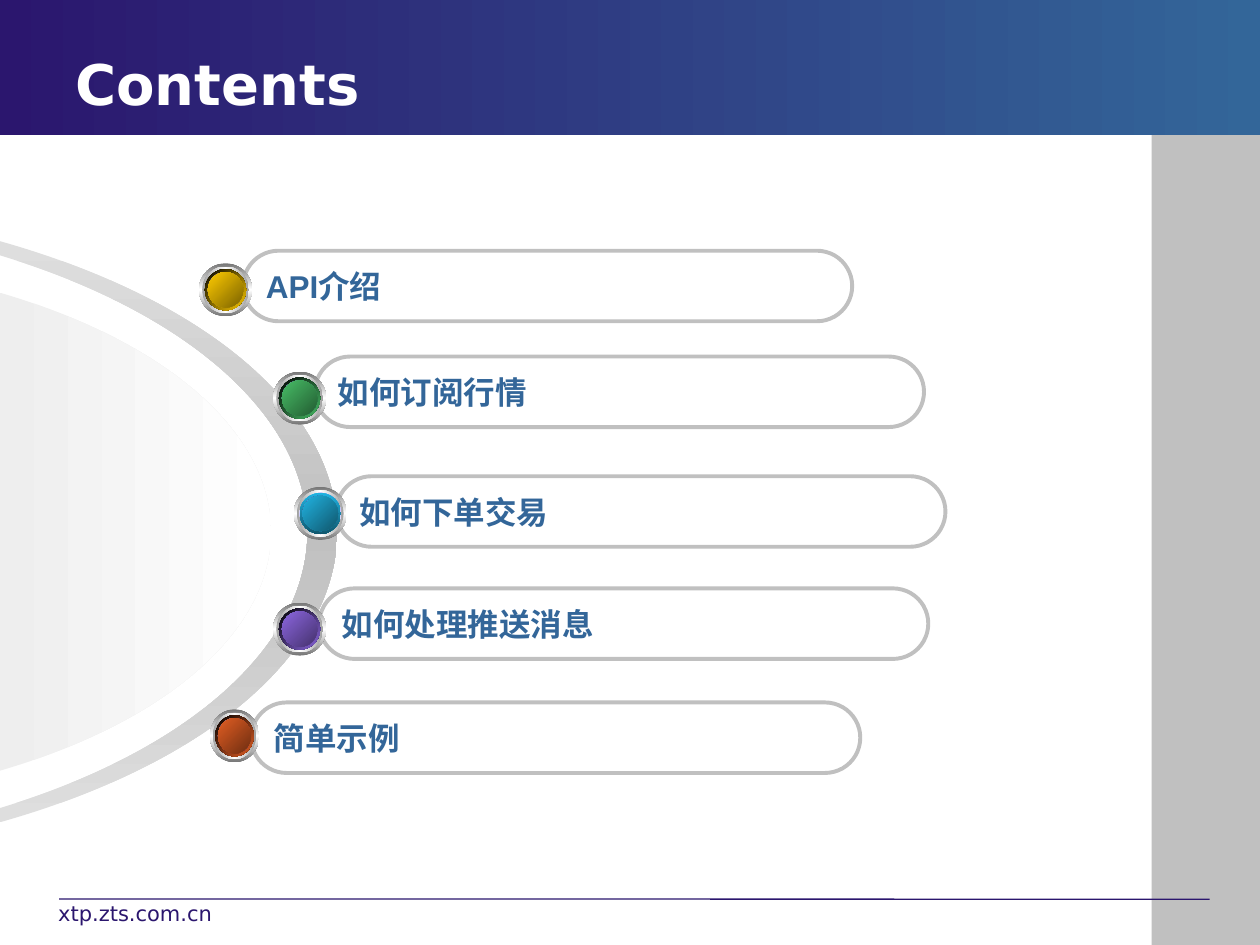
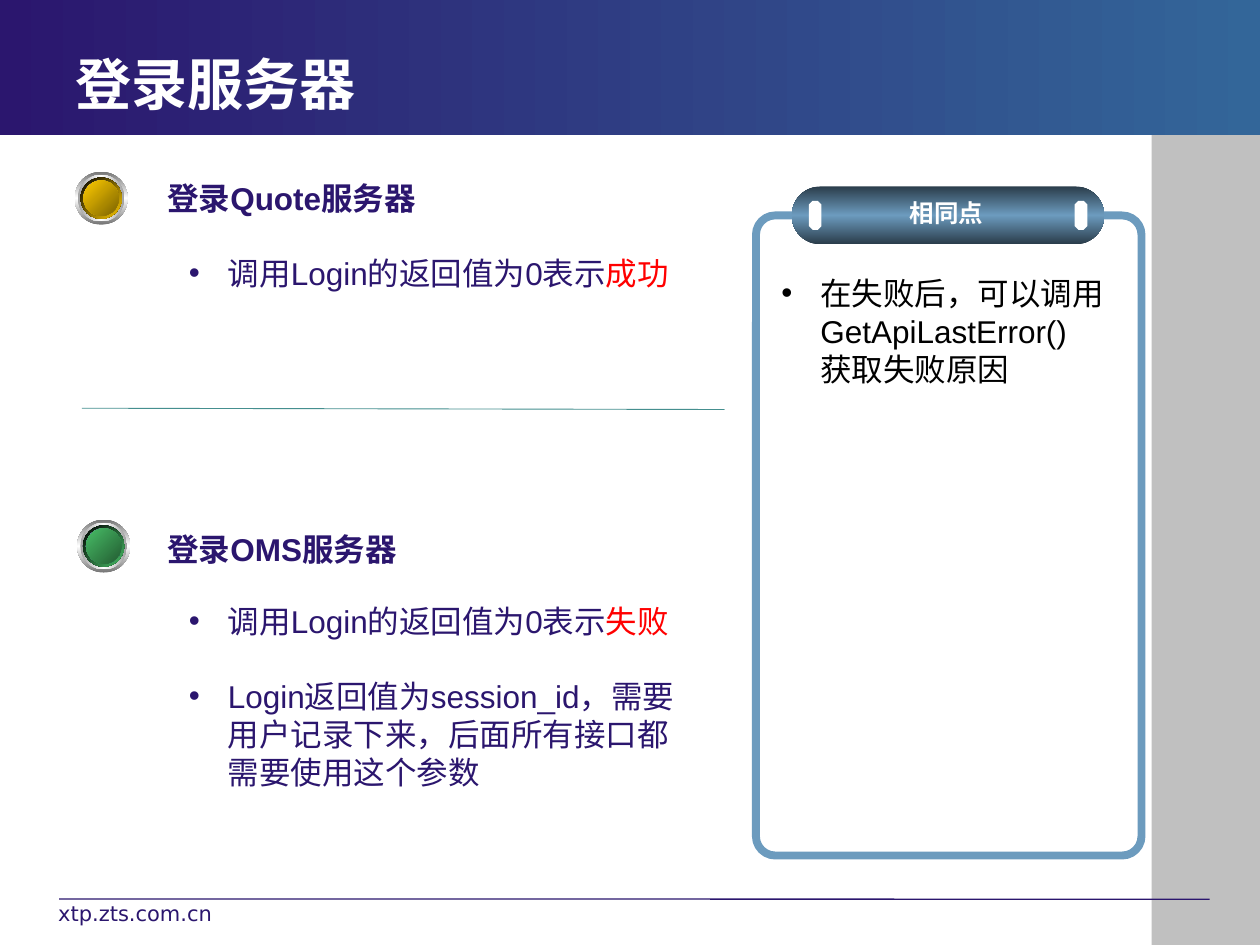
"""Builds the contents slide and the server login slide of an API course."""
import math

import lxml.etree
import pptx
import pptx.dml.color
import pptx.enum.shapes
import pptx.enum.text
import pptx.oxml.ns
import pptx.util

rgb = pptx.dml.color.RGBColor.from_string
qn = pptx.oxml.ns.qn
FORM = pptx.enum.shapes.MSO_SHAPE
MIDDLE = pptx.enum.text.MSO_ANCHOR.MIDDLE
NAVY, BLUE, SILVER, WHITE, BLACK = "2B166E", "336699", "C0C0C0", "FFFFFF", "000000"
STEEL, TEAL, RED, LILAC, SHADE = "6C9BBE", "458F8F", "FF0000", "9999FF", "53538A"
GOLD, GREEN = ("FFCC00", "7C6300"), ("48BE67", "235C32")
CYAN, VIOLET, RUST = ("21B3E1", "10576D"), ("8D67E1", "45326D"), ("E35E23", "6E2E11")

deck = pptx.Presentation()
deck.slide_width, deck.slide_height = pptx.util.Inches(10), pptx.util.Inches(7.5)
cell = deck.slide_width // 100  # 100 columns by 75 rows


def draw(shapes, form, area, colours=(), angle=0, edge=None):
    """Add a preset shape, or an outline of double curves, in grid cells."""
    if form:
        shape = shapes.add_shape(form, *[round(length * cell) for length in area])
    else:
        points = [(round(x * cell), round(y * cell)) for x, y in area]
        outline = shapes.build_freeform(*points[0])
        outline.add_line_segments(points[1:])
        shape = outline.convert_to_shape()
        steps = list(shape._element.iter(qn("a:lnTo")))[:len(points) - 1]
        for first in range(0, len(steps), 7):
            for start in (first, first + 3):
                curve = lxml.etree.Element(qn("a:cubicBezTo"))
                steps[start].addprevious(curve)
                for step in steps[start:start + 3]:
                    curve.append(step[0])
                    step.getparent().remove(step)
    shape.shadow.inherit = False
    if len(colours) > 1:
        shape.fill.gradient()
        blend = shape._element.spPr.find(qn("a:gradFill"))
        blend.find(qn("a:lin")).set("ang", str(angle * 60000))
        stops = blend.find(qn("a:gsLst"))
        for stop in list(stops):
            stops.remove(stop)
        for index, colour in enumerate(colours):
            position = str(100000 * index // (len(colours) - 1))
            stop = lxml.etree.SubElement(stops, qn("a:gs"), pos=position)
            lxml.etree.SubElement(stop, qn("a:srgbClr"), val=colour)
    elif colours:
        shape.fill.solid()
        shape.fill.fore_color.rgb = rgb(colours[0])
    else:
        shape.fill.background()
    if edge:
        shape.line.color.rgb = rgb(edge[0])
        shape.line.width = pptx.util.Pt(edge[1])
    else:
        shape.line.fill.background()
    return shape


def write(frame, paragraphs, size=18, bold=False, font="Arial", bullet=None, align="LEFT"):
    """Fill a text frame with paragraphs, each a list of (text, colour) runs."""
    frame.word_wrap = True
    for index, runs in enumerate(paragraphs):
        paragraph = frame.add_paragraph() if index else frame.paragraphs[0]
        paragraph.alignment = pptx.enum.text.PP_ALIGN[align]
        if bullet:
            props = paragraph._p.get_or_add_pPr()
            props.set("marL", str(round(3.1 * cell)))
            props.set("indent", str(round(-3.1 * cell)))
            tint = lxml.etree.SubElement(props, qn("a:buClr"))
            lxml.etree.SubElement(tint, qn("a:srgbClr"), val=bullet)
            lxml.etree.SubElement(props, qn("a:buFont"), typeface="Arial")
            lxml.etree.SubElement(props, qn("a:buChar"), char="•")
        if index:
            paragraph.space_before = pptx.util.Pt(21.5)
        for text, colour in runs:
            if text == "\n":
                paragraph.add_line_break()
                continue
            run = paragraph.add_run()
            run.text = text
            run.font.name, run.font.bold = font, bold
            run.font.size = pptx.util.Pt(size)
            run.font.color.rgb = rgb(colour)


contents, login = [deck.slides.add_slide(deck.slide_layouts[6]) for _ in range(2)]

captions = []
for slide, title in ((contents, "Contents"), (login, "登录服务器")):
    draw(slide.shapes, FORM.RECTANGLE, (91.4, 10.7, 8.6, 64.3), [SILVER])
    draw(slide.shapes, FORM.RECTANGLE, (0, 0, 100, 10.7), [NAVY, BLUE])
    captions += [
        (slide, (5, 3.5, 67.5, 6.2), [[(title, WHITE)]],
         {"size": 32, "bold": True, "font": "DejaVu Sans"}),
        (slide, (3.64, 71, 23.3, 3.5), [[("xtp.zts.com.cn", NAVY)]],
         {"size": 12, "font": "DejaVu Sans"}),
    ]

arcs = []
for centre, across, down in ((-25.4, 52.15, 26.4), (-25.4, 49.8, 25.5), (-21.5, 43, 21.9)):
    reach = math.acos(-centre / across)
    pull = 4 / 3 * math.tan(reach / 4)
    arcs.append([
        (centre + across * (math.cos(turn) - bend * math.sin(turn)),
         42.2 + down * (math.sin(turn) + bend * math.cos(turn)))
        for turn, bend in ((-reach, 0), (-reach, pull), (0, -pull), (0, 0),
                           (0, pull), (reach, -pull), (reach, 0))])
outer, inner, dome = arcs
draw(contents.shapes, None, outer + inner[::-1], ["DEDEDE", SILVER, "DEDEDE"], 90)
draw(contents.shapes, None, dome, ["EEEEEE", WHITE])

lamps = [(login, 5.93, 13.63, 4.2, GOLD), (login, 6.13, 41.24, 4.2, GREEN)]
for topic, left, top, lamp_left, lamp_top, lamp_width, glow in (
    ("API介绍", 19.3, 19.9, 15.8, 20.9, 4.2, GOLD),
    ("如何订阅行情", 25, 28.3, 21.68, 29.5, 4.2, GREEN),
    ("如何下单交易", 26.7, 37.8, 23.32, 38.65, 4.2, CYAN),
    ("如何处理推送消息", 25.34, 46.7, 21.68, 47.83, 4.2, VIOLET),
    ("简单示例", 19.94, 55.75, 16.66, 56.3, 3.9, RUST),
):
    pill = draw(contents.shapes, FORM.ROUNDED_RECTANGLE, (left, top, 48.34, 5.6),
                edge=(SILVER, 2.25))
    pill.adjustments[0] = 0.5
    pill.text_frame.vertical_anchor = MIDDLE
    write(pill.text_frame, [[(topic, BLUE)]], bold=True)
    lamps.append((contents, lamp_left, lamp_top, lamp_width, glow))

for slide, left, top, width, glow in lamps:
    lamp = slide.shapes.add_group_shape()
    rim, slant = (glow, 90) if glow == CYAN else ((BLACK, glow[0]), 45)
    for share, colours, angle in (
        (1, ("767676", WHITE, "767676"), 90),
        (0.88, ("A2A2A2", WHITE, "A2A2A2"), 0),
        (0.78, (WHITE, LILAC, WHITE), 45),
        (0.78, rim, slant),
        (0.67, (SHADE, LILAC, SHADE), 315),
        (0.67, glow, 45),
    ):
        inset = (1 - share) / 2
        draw(lamp.shapes, FORM.OVAL,
             (left + width * inset, top + 4.2 * inset, width * share, 4.2 * share),
             colours, angle)

panel = draw(login.shapes, FORM.ROUNDED_RECTANGLE, (60, 17.1, 30.6, 50.8), edge=(STEEL, 4.5))
panel.adjustments[0] = 0.05
tab = draw(login.shapes, FORM.ROUNDED_RECTANGLE, (62.84, 14.8, 24.8, 4.6),
           ["2A3C4A", STEEL, "2A3C4A"], 90)
tab.adjustments[0] = 0.5
for left in (64.2, 85.3):
    draw(login.shapes, FORM.OCTAGON, (left, 15.94, 1, 2.3), [WHITE])

call = "调用Login的返回值为0表示"
session = "Login返回值为session_id，需要用户记录下来，后面所有接口都需要使用这个参数"
captions += [
    (login, (12.3, 13.7, 37.6, 4), [[("登录Quote服务器", NAVY)]], {"bold": True}),
    (login, (12.3, 41.6, 38.2, 4), [[("登录OMS服务器", NAVY)]], {"bold": True}),
    (login, (14, 19.66, 40.2, 7), [[(call, NAVY), ("成功", RED)]], {"bullet": NAVY}),
    (login, (14, 47.25, 40.9, 19), [[(call, NAVY), ("失败", RED)], [(session, NAVY)]],
     {"bullet": NAVY}),
    (login, (66.44, 15.2, 17.4, 3.4), [[("相同点", WHITE)]],
     {"size": 14, "bold": True, "align": "CENTER"}),
    (login, (61.03, 21.26, 28.4, 10),
     [[("在失败后，可以调用GetApiLastError()", BLACK), ("\n", BLACK), ("获取失败原因", BLACK)]],
     {"bullet": BLACK}),
]
for slide, area, paragraphs, style in captions:
    caption = slide.shapes.add_textbox(*[round(length * cell) for length in area])
    if style.get("size") == 32:
        caption.text_frame.vertical_anchor = MIDDLE
    write(caption.text_frame, paragraphs, **style)

for slide, ends, colour, weight in (
    (contents, (4.7, 71.35, 96, 71.37), NAVY, 0.75),
    (login, (4.7, 71.35, 96, 71.37), NAVY, 0.75),
    (login, (6.5, 32.4, 57.5, 32.5), TEAL, 0.5),
):
    rule = slide.shapes.add_connector(pptx.enum.shapes.MSO_CONNECTOR.STRAIGHT,
                                      *[round(end * cell) for end in ends])
    rule.line.color.rgb = rgb(colour)
    rule.line.width = pptx.util.Pt(weight)
    lxml.etree.SubElement(rule._element.spPr, qn("a:effectLst"))

deck.save("out.pptx")
